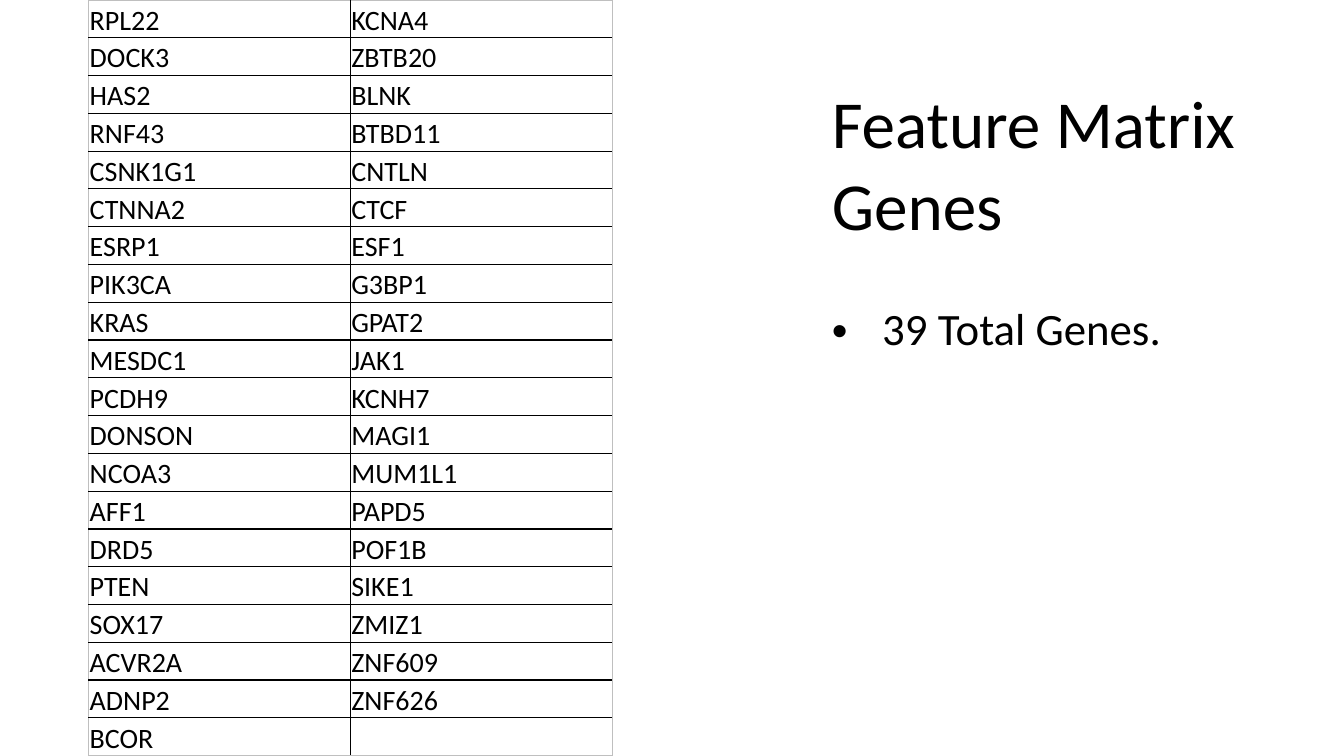
from dataclasses import dataclass

from lxml.etree import SubElement
from pptx import Presentation
from pptx.dml.color import RGBColor
from pptx.enum.text import MSO_ANCHOR
from pptx.oxml.ns import qn
from pptx.util import Inches, Pt


@dataclass(frozen=True)
class Theme:
    font: str = "Calibri"
    ink: str = "000000"
    edge: str = "BFBFBF"
    title: int = 48
    bullet: int = 32
    gene: int = 20
    border: float = 1
    edge_border: float = 0.5


THEME = Theme()
GENES = [
    ("RPL22", "KCNA4"), ("DOCK3", "ZBTB20"), ("HAS2", "BLNK"),
    ("RNF43", "BTBD11"), ("CSNK1G1", "CNTLN"), ("CTNNA2", "CTCF"),
    ("ESRP1", "ESF1"), ("PIK3CA", "G3BP1"), ("KRAS", "GPAT2"),
    ("MESDC1", "JAK1"), ("PCDH9", "KCNH7"), ("DONSON", "MAGI1"),
    ("NCOA3", "MUM1L1"), ("AFF1", "PAPD5"), ("DRD5", "POF1B"),
    ("PTEN", "SIKE1"), ("SOX17", "ZMIZ1"), ("ACVR2A", "ZNF609"),
    ("ADNP2", "ZNF626"), ("BCOR", ""),
]


def set_attrs(obj, **values):
    for name, value in values.items():
        setattr(obj, name, value)


def add_text(p, text, size):
    r = p.add_run()
    r.text = text
    set_attrs(r.font, name=THEME.font, size=Pt(size), bold=False)
    r.font.color.rgb = RGBColor.from_string(THEME.ink)


def add_border(cell, side, color, width):
    ln = SubElement(cell._tc.get_or_add_tcPr(), qn(f"a:{side}"), w=str(Pt(width)))
    if color:
        fill = SubElement(ln, qn("a:solidFill"))
        SubElement(fill, qn("a:srgbClr"), val=color)
    else:
        SubElement(ln, qn("a:noFill"))


def add_plain_table(s, n_rows, n_cols, left, top, width, height):
    table = s.shapes.add_table(n_rows, n_cols, left, top, width, height).table
    set_attrs(table, first_row=False, horz_banding=False)
    for row in table.rows:
        row.height = int(height / n_rows)
    return table


def add_gene_table(s, genes, left, top, width, height):
    n_rows, n_cols = len(genes), len(genes[0])
    table = add_plain_table(s, n_rows, n_cols, left, top, width, height)
    inset = Inches(0.01)
    for i, names in enumerate(genes):
        for j, name in enumerate(names):
            cell = table.cell(i, j)
            set_attrs(cell, margin_left=inset, margin_top=inset, margin_right=inset,
                      margin_bottom=0, vertical_anchor=MSO_ANCHOR.BOTTOM)
            edges = {"lnL": j == 0, "lnR": j == n_cols - 1,
                     "lnT": i == 0, "lnB": i == n_rows - 1}
            for side, outer in edges.items():
                line = (THEME.edge, THEME.edge_border) if outer else (THEME.ink, THEME.border)
                add_border(cell, side, *line)
            cell.fill.background()
            if name:
                add_text(cell.text_frame.paragraphs[0], name, THEME.gene)


def add_bullet(tf, text, gap):
    p = tf.add_paragraph()
    p.space_before = Pt(gap)
    p_pr = p._p.get_or_add_pPr()
    indent = Inches(0.5)
    p_pr.set("marL", str(indent))
    p_pr.set("indent", str(-indent))
    SubElement(p_pr, qn("a:buFont"), typeface="Arial")
    SubElement(p_pr, qn("a:buChar"), char="•")
    add_text(p, text, THEME.bullet)


def add_heading_table(s, lines, bullet, left, top, width, height):
    cell = add_plain_table(s, 1, 1, left, top, width, height).cell(0, 0)
    for side in ("lnL", "lnR", "lnT", "lnB"):
        add_border(cell, side, None, 0)
    cell.fill.background()
    tf = cell.text_frame
    for i, line in enumerate(lines):
        p = tf.add_paragraph() if i else tf.paragraphs[0]
        add_text(p, line, THEME.title)
    add_bullet(tf, bullet, 39)


def main():
    prs = Presentation()
    set_attrs(prs, slide_width=Inches(13.33), slide_height=Inches(7.5))
    s = prs.slides.add_slide(prs.slide_layouts[6])
    add_gene_table(s, GENES, Inches(0.88), 0, Inches(5.19), prs.slide_height)
    add_heading_table(s, ["Feature Matrix", "Genes"], "39 Total Genes.",
                      Inches(8.15), Inches(0.79), Inches(5.07), Inches(5.46))
    prs.save("out.pptx")


main()
